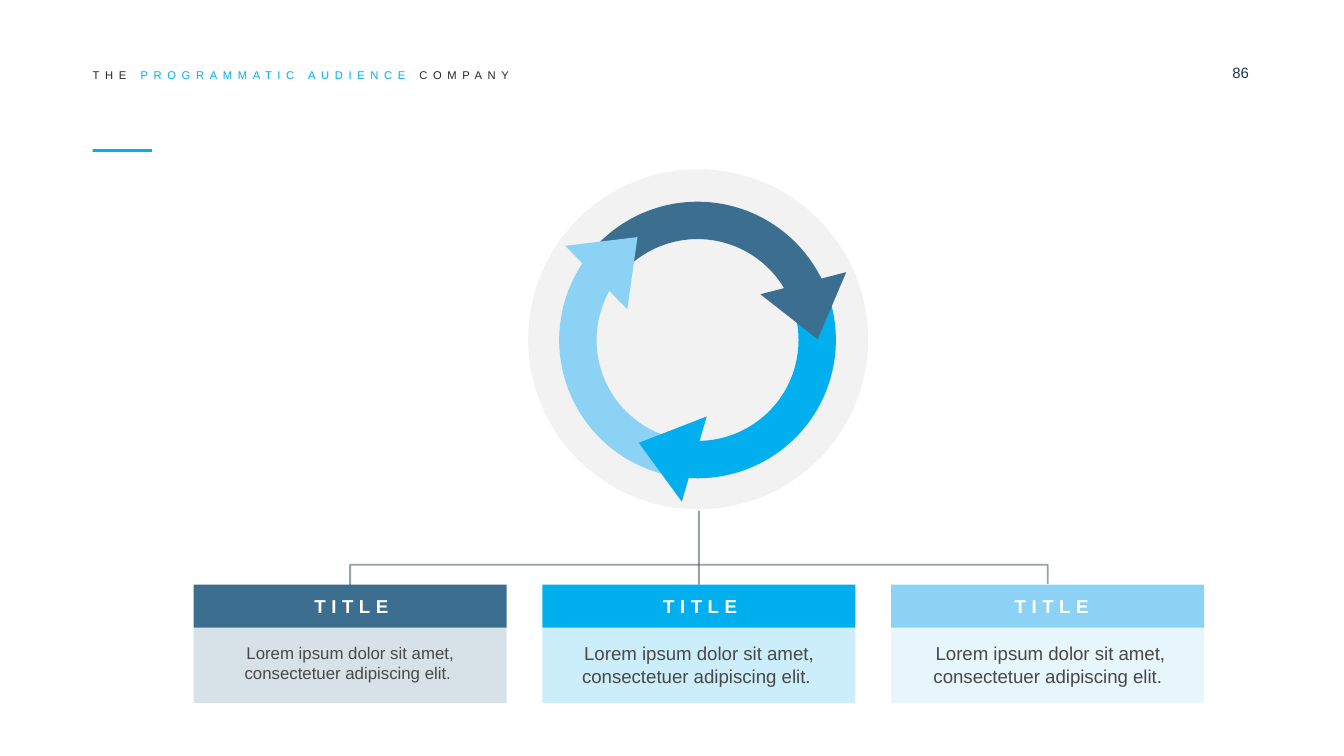
from dataclasses import dataclass

from lxml import etree
from pptx import Presentation
from pptx import util as u
from pptx.dml.color import RGBColor
from pptx.enum import shapes, text
from pptx.oxml import ns

EMU_PER_PX = 914400 // 200

NAVY = RGBColor(0x1D, 0x36, 0x47)
STEEL = RGBColor(0x3B, 0x6E, 0x8F)
BLUE = RGBColor(0x01, 0xAE, 0xEE)
SKY = RGBColor(0x8B, 0xD2, 0xF4)
PALE = RGBColor(0xF2, 0xF2, 0xF2)
GREY = RGBColor(0x48, 0x48, 0x48)
BLACK = RGBColor(0x24, 0x24, 0x24)
WHITE = RGBColor(0xFF, 0xFF, 0xFF)

RECTANGLE = shapes.MSO_SHAPE.RECTANGLE
LOREM = "Lorem ipsum dolor sit amet, consectetuer adipiscing elit. "

CARD_LEFT, CARD_TOP, CARD_PITCH = 288, 870, 519
CARD_WIDTH, HEADER_HEIGHT, BODY_HEIGHT = 466, 64, 112


@dataclass(frozen=True)
class Card:
    color: RGBColor
    body_size: int
    text_shift: int = 0


@dataclass(frozen=True)
class CycleArrow:
    color: RGBColor
    arc_rotation: int
    arc_angles: tuple[float, float]
    head_left: int
    head_top: int
    head_rotation: float


CARDS = [Card(STEEL, 9), Card(BLUE, 10), Card(SKY, 10, 4)]

# Arc angles are in units of 100000/60000 degree
ARROWS = [
    CycleArrow(BLUE, 120, (127.44, 203.42), 926, 628, 286.3),
    CycleArrow(STEEL, 0, (131.25, 207.75), 1140, 420, 165.6),
    CycleArrow(SKY, 240, (130.1, 204.38), 852, 340, 45.6),
]


def px(length: int) -> u.Emu:
    return u.Emu(length * EMU_PER_PX)


def set_alpha(color_format_parent, percent: int) -> None:
    """Make the solid colour below an XML element partly transparent."""
    color = color_format_parent.find(".//" + ns.qn("a:srgbClr"))
    etree.SubElement(color, ns.qn("a:alpha")).set("val", str(percent * 1000))


def add_shape(parent, kind, left: int, top: int, width: int, height: int,
              fill: RGBColor | None = None, alpha: int = 100, rotation: float = 0):
    shape = parent.add_shape(kind, px(left), px(top), px(width), px(height))
    shape.shadow.inherit = False
    shape.rotation = rotation
    shape.line.fill.background()
    if fill is None:
        shape.fill.background()
    else:
        shape.fill.solid()
        shape.fill.fore_color.rgb = fill
        if alpha < 100:
            set_alpha(shape._element.spPr, alpha)
    return shape


def add_text(parent, runs: list[tuple[str, RGBColor]], left: int, top: int,
             width: int, height: int, *, size: int, bold: bool = False,
             spacing: int = 0, align=text.PP_ALIGN.LEFT, anchor=text.MSO_ANCHOR.TOP,
             wrap: bool = True, grow: bool = True, inset: bool = True):
    box = parent.add_textbox(px(left), px(top), px(width), px(height))
    frame = box.text_frame
    frame.word_wrap = wrap
    frame.vertical_anchor = anchor
    frame.auto_size = (text.MSO_AUTO_SIZE.SHAPE_TO_FIT_TEXT if grow
                       else text.MSO_AUTO_SIZE.NONE)
    if not inset:
        frame.margin_left = frame.margin_right = 0
        frame.margin_top = frame.margin_bottom = 0
    paragraph = frame.paragraphs[0]
    paragraph.alignment = align
    for words, color in runs:
        run = paragraph.add_run()
        run.text = words
        run.font.name = "Arial"
        run.font.size = u.Pt(size)
        run.font.bold = bold
        run.font.color.rgb = color
        if spacing:
            run._r.get_or_add_rPr().set("spc", str(spacing * 100))
    return box


def add_line(parent, kind, start: tuple[int, int], end: tuple[int, int]):
    connector = parent.add_connector(kind, *map(px, start + end))
    connector.line.color.rgb = NAVY
    connector.line.width = u.Pt(1)
    properties = connector._element.spPr
    set_alpha(properties, 45)
    etree.SubElement(properties, ns.qn("a:effectLst"))
    return connector


def add_bracket(parent, left: int, right: int, bottom: int, rise: int) -> None:
    """Join two points at one height by an elbow line that passes above them."""
    center, half, thickness = (left + right) // 2, (right - left) // 2, 2
    connector = add_line(parent, shapes.MSO_CONNECTOR.ELBOW,
                         (center + thickness // 2, bottom + half),
                         (center - thickness // 2, bottom - half))
    properties = connector._element.spPr
    properties.find(ns.qn("a:xfrm")).set("rot", str(90 * 60000))
    guides = properties.find(ns.qn("a:prstGeom")).get_or_add_avLst()
    guide = etree.SubElement(guides, ns.qn("a:gd"))
    guide.set("name", "adj1")
    guide.set("fmla", f"val {rise * 100000 // thickness}")


def add_cycle(parent) -> None:
    group = parent.add_group_shape().shapes
    add_shape(group, shapes.MSO_SHAPE.OVAL, 786, 252, 506, 506, PALE)
    for arrow in ARROWS:
        arc = add_shape(group, shapes.MSO_SHAPE.ARC, 860, 328, 356, 356,
                        rotation=arrow.arc_rotation)
        arc.adjustments[0], arc.adjustments[1] = arrow.arc_angles
        arc.line.color.rgb = arrow.color
        arc.line.width = u.Pt(20)
    for arrow in ARROWS:
        add_shape(group, shapes.MSO_SHAPE.ISOSCELES_TRIANGLE, arrow.head_left,
                  arrow.head_top, 132, 86, arrow.color, rotation=arrow.head_rotation)


def add_card_text(parent, card: Card, left: int) -> None:
    left += card.text_shift
    add_text(parent, [(LOREM, GREY)], left, 946, CARD_WIDTH, 88,
             size=card.body_size, align=text.PP_ALIGN.CENTER)
    add_text(parent, [("TITLE", WHITE)], left + 155, 876, 160, 54, size=10,
             bold=True, spacing=3, align=text.PP_ALIGN.CENTER, wrap=False)


def main() -> None:
    presentation = Presentation()
    presentation.slide_width = px(2000)
    presentation.slide_height = px(1125)
    slide = presentation.slides.add_slide(presentation.slide_layouts[6])
    parts = slide.shapes

    # Accent bar
    add_shape(parts, RECTANGLE, 138, 222, 88, 4, BLUE)

    # Card panels
    lefts = [CARD_LEFT + CARD_PITCH * index for index in range(len(CARDS))]
    headers = []
    for card, left in zip(CARDS, lefts):
        headers.append(add_shape(parts, RECTANGLE, left, CARD_TOP, CARD_WIDTH,
                                 HEADER_HEIGHT, card.color))
        add_shape(parts, RECTANGLE, left, CARD_TOP + HEADER_HEIGHT, CARD_WIDTH,
                  BODY_HEIGHT, card.color, alpha=20)

    # Lines from the cycle to the cards
    centers = [left + CARD_WIDTH // 2 for left in lefts]
    add_bracket(parts, centers[0], centers[-1], CARD_TOP, 31)
    stem = add_line(parts, shapes.MSO_CONNECTOR.STRAIGHT,
                    (centers[1], 760), (centers[1], CARD_TOP))
    stem.end_connect(headers[1], 0)

    # Cycle and card texts
    add_cycle(parts)
    for card, left in zip(CARDS, lefts):
        add_card_text(parts, card, left)

    # Page number and tagline
    add_text(parts, [("86", NAVY)], 1834, 94, 86, 32, size=8, grow=False, inset=False)
    add_text(parts, [("THE ", BLACK), ("PROGRAMMATIC AUDIENCE ", BLUE), ("COMPANY", BLACK)],
             138, 102, 1434, 20, size=6, spacing=3,
             anchor=text.MSO_ANCHOR.MIDDLE, inset=False)

    presentation.save("out.pptx")


if __name__ == "__main__":
    main()
